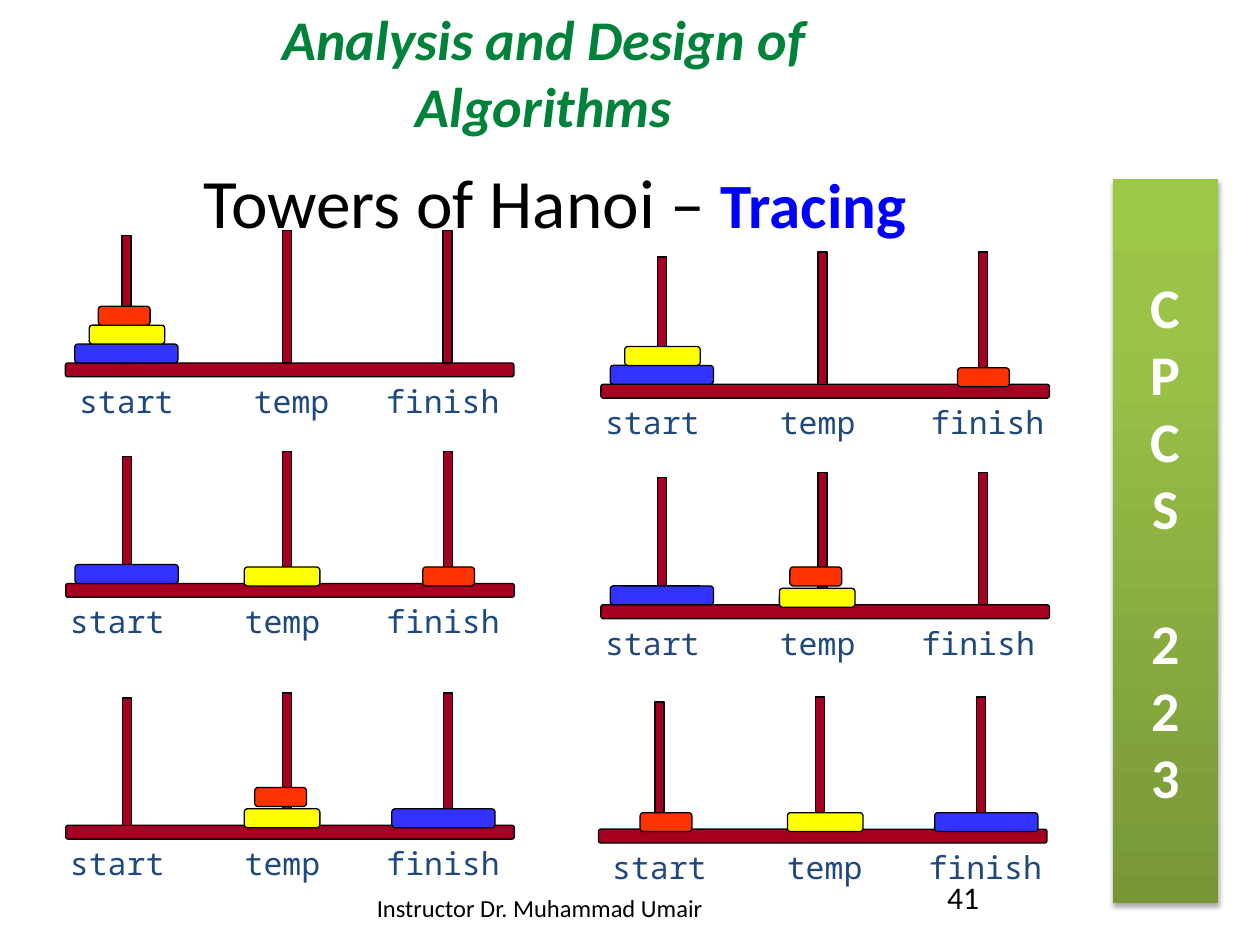
from dataclasses import dataclass

import lxml.etree
import pptx
import pptx.dml.color
import pptx.enum.shapes
import pptx.enum.text
import pptx.oxml
import pptx.oxml.ns
import pptx.util

Pt = pptx.util.Pt
RGBColor = pptx.dml.color.RGBColor
Kind = pptx.enum.shapes.MSO_SHAPE
Align = pptx.enum.text.PP_ALIGN
Anchor = pptx.enum.text.MSO_ANCHOR

BLACK = RGBColor(0x00, 0x00, 0x00)
WHITE = RGBColor(0xFF, 0xFF, 0xFF)
GREEN = RGBColor(0x00, 0x82, 0x3B)
TRACING_BLUE = RGBColor(0x00, 0x00, 0xFF)
LABEL_NAVY = RGBColor(0x1F, 0x49, 0x7D)
WOOD = RGBColor(0xA5, 0x00, 0x21)
DISC_BLUE = RGBColor(0x33, 0x33, 0xFF)
DISC_YELLOW = RGBColor(0xFF, 0xFF, 0x00)
DISC_RED = RGBColor(0xFF, 0x33, 0x00)
BANNER_STOPS = (
    (0, RGBColor(0x77, 0x97, 0x37)),
    (80, RGBColor(0x9B, 0xC3, 0x48)),
    (100, RGBColor(0x9D, 0xC7, 0x46)),
)

BODY_FONT = "Calibri"
LABEL_FONT = "Noto Sans Mono"

BASE_WIDTH, BASE_HEIGHT = 256.3, 7.9
PEG_WIDTH = 5.2
PEGS = ((32.3, 72.7), (124, 75.6), (215.8, 75.6))
LABEL_CENTRES = (34.8, 129.2, 221)
LABEL_WIDTH, LABEL_HEIGHT, LABEL_DROP = 59, 15.8, 13.7
DISC_HEIGHT = 10.8
RESTING, SECOND, THIRD = 0, DISC_HEIGHT, 2 * DISC_HEIGHT
LOWERED = -1.4


@dataclass(frozen=True)
class Box:
    left: float
    top: float
    width: float
    height: float

    def lengths(self) -> tuple:
        return Pt(self.left), Pt(self.top), Pt(self.width), Pt(self.height)


@dataclass(frozen=True)
class TextStyle:
    size: float
    color: RGBColor
    name: str = BODY_FONT
    bold: bool = False
    italic: bool = False


@dataclass(frozen=True)
class Disc:
    color: RGBColor
    width: float
    centre: float
    lift: float


@dataclass(frozen=True)
class Towers:
    left: float
    top: float
    discs: tuple[Disc, ...]
    labels: tuple[str, str, str]


def blue(centre: float, lift: float) -> Disc:
    return Disc(DISC_BLUE, 59, centre, lift)


def yellow(centre: float, lift: float) -> Disc:
    return Disc(DISC_YELLOW, 43.2, centre, lift)


def red(centre: float, lift: float) -> Disc:
    return Disc(DISC_RED, 29.6, centre, lift)


SPACED_LABELS = ("start ", "temp ", "finish ")
STEPS = (
    Towers(37.4, 207.4, (blue(34.8, RESTING), yellow(35.2, SECOND), red(33.6, THIRD)),
           ("start", "temp", "finish ")),
    Towers(343.4, 219.6, (blue(34.8, RESTING), yellow(35.2, SECOND), red(218.6, LOWERED)),
           ("start ", "temp ", "finish")),
    Towers(37.6, 333.4, (blue(34.8, RESTING), yellow(123.6, LOWERED), red(218.8, LOWERED)),
           SPACED_LABELS),
    Towers(343.4, 345.6, (blue(34.8, RESTING), yellow(123.6, LOWERED), red(122.8, SECOND)),
           SPACED_LABELS),
    Towers(37.6, 471.6, (blue(215.8, LOWERED), yellow(123.6, LOWERED), red(122.8, SECOND)),
           SPACED_LABELS),
    Towers(342, 473.8, (blue(221.6, LOWERED), yellow(129.6, LOWERED), red(38.6, LOWERED)),
           ("start", "temp", "finish")),
)


def apply_font(font, style: TextStyle) -> None:
    font.name = style.name
    font.size = Pt(style.size)
    font.bold = style.bold
    font.italic = style.italic
    font.color.rgb = style.color


def write(frame, text: str, style: TextStyle, align=Align.LEFT) -> None:
    paragraph = frame.paragraphs[0]
    paragraph.text = text
    paragraph.alignment = align
    apply_font(paragraph.font, style)


def add_text(shapes, box: Box, text: str, style: TextStyle, align=Align.LEFT) -> None:
    frame = shapes.add_textbox(*box.lengths()).text_frame
    frame.word_wrap = True
    write(frame, text, style, align)


def add_peg_label(shapes, box: Box, text: str) -> None:
    label = shapes.add_shape(Kind.RECTANGLE, *box.lengths())
    label.shadow.inherit = False
    label.fill.background()
    label.line.fill.background()
    frame = label.text_frame
    frame.word_wrap = False
    frame.vertical_anchor = Anchor.MIDDLE
    write(frame, text, TextStyle(18, LABEL_NAVY, LABEL_FONT), Align.CENTER)


def add_piece(shapes, kind, box: Box, color: RGBColor) -> None:
    piece = shapes.add_shape(kind, *box.lengths())
    piece.shadow.inherit = False
    piece.fill.solid()
    piece.fill.fore_color.rgb = color
    piece.line.color.rgb = BLACK
    piece.line.width = Pt(0.75)


def add_towers(shapes, towers: Towers) -> None:
    group = shapes.add_group_shape().shapes
    add_piece(group, Kind.ROUNDED_RECTANGLE,
              Box(towers.left, towers.top, BASE_WIDTH, BASE_HEIGHT), WOOD)
    for offset, height in PEGS:
        add_piece(group, Kind.RECTANGLE,
                  Box(towers.left + offset, towers.top - height, PEG_WIDTH, height), WOOD)
    for disc in towers.discs:
        add_piece(group, Kind.ROUNDED_RECTANGLE,
                  Box(towers.left + disc.centre - disc.width / 2,
                      towers.top - disc.lift - DISC_HEIGHT, disc.width, DISC_HEIGHT), disc.color)
    for centre, label in zip(LABEL_CENTRES, towers.labels):
        add_peg_label(group, Box(towers.left + centre - LABEL_WIDTH / 2,
                                 towers.top + LABEL_DROP, LABEL_WIDTH, LABEL_HEIGHT), label)


def add_banner(shapes) -> None:
    banner = shapes.add_shape(Kind.RECTANGLE, *Box(635.8, 102.2, 60.5, 414).lengths())
    banner.line.fill.background()
    banner.shadow.inherit = False
    banner.fill.gradient()
    banner.fill.gradient_angle = 90
    properties = banner.element.spPr
    stops = properties.find(".//" + pptx.oxml.ns.qn("a:gsLst"))
    for stop in list(stops):
        stops.remove(stop)
    for position, color in BANNER_STOPS:
        stop = lxml.etree.SubElement(stops, pptx.oxml.ns.qn("a:gs"), pos=str(position * 1000))
        lxml.etree.SubElement(stop, pptx.oxml.ns.qn("a:srgbClr"), val=str(color))
    effects = properties.find(pptx.oxml.ns.qn("a:effectLst"))
    effects.append(pptx.oxml.parse_xml(
        f'<a:outerShdw {pptx.oxml.ns.nsdecls("a")} blurRad="{Pt(3.1)}" dist="{Pt(1.8)}" '
        'dir="5400000" rotWithShape="0"><a:srgbClr val="000000"><a:alpha val="35000"/>'
        '</a:srgbClr></a:outerShdw>'))
    frame = banner.text_frame
    frame.vertical_anchor = Anchor.MIDDLE
    frame.word_wrap = True
    banner.element.txBody.bodyPr.set("vert", "wordArtVert")
    write(frame, "CPCS 223", TextStyle(32, WHITE, bold=True), Align.CENTER)


def fill_title(title) -> None:
    title.left, title.top, title.width, title.height = Box(15.1, 90, 604.1, 49).lengths()
    frame = title.text_frame
    frame.auto_size = pptx.enum.text.MSO_AUTO_SIZE.NONE
    frame.vertical_anchor = Anchor.MIDDLE
    paragraph = frame.paragraphs[0]
    paragraph.alignment = Align.CENTER
    for text, style in (("Towers of Hanoi – ", TextStyle(39.6, BLACK)),
                        ("Tracing", TextStyle(36, TRACING_BLUE, bold=True))):
        run = paragraph.add_run()
        run.text = text
        apply_font(run.font, style)


def main() -> None:
    deck = pptx.Presentation()
    deck.slide_width, deck.slide_height = Pt(720), Pt(540)
    shapes = deck.slides.add_slide(deck.slide_layouts[5]).shapes
    fill_title(shapes.title)
    add_text(shapes, Box(208.2, 506.9, 205.2, 24.5), "Instructor Dr. Muhammad Umair",
             TextStyle(14, BLACK))
    add_text(shapes, Box(83, -0.9, 455.8, 85), "Analysis and Design of Algorithms",
             TextStyle(32, GREEN, bold=True, italic=True), Align.CENTER)
    add_banner(shapes)
    add_text(shapes, Box(534.2, 498.2, 48.2, 28.8), "41", TextStyle(18, BLACK))
    for towers in STEPS:
        add_towers(shapes, towers)
    deck.save("out.pptx")


if __name__ == "__main__":
    main()
